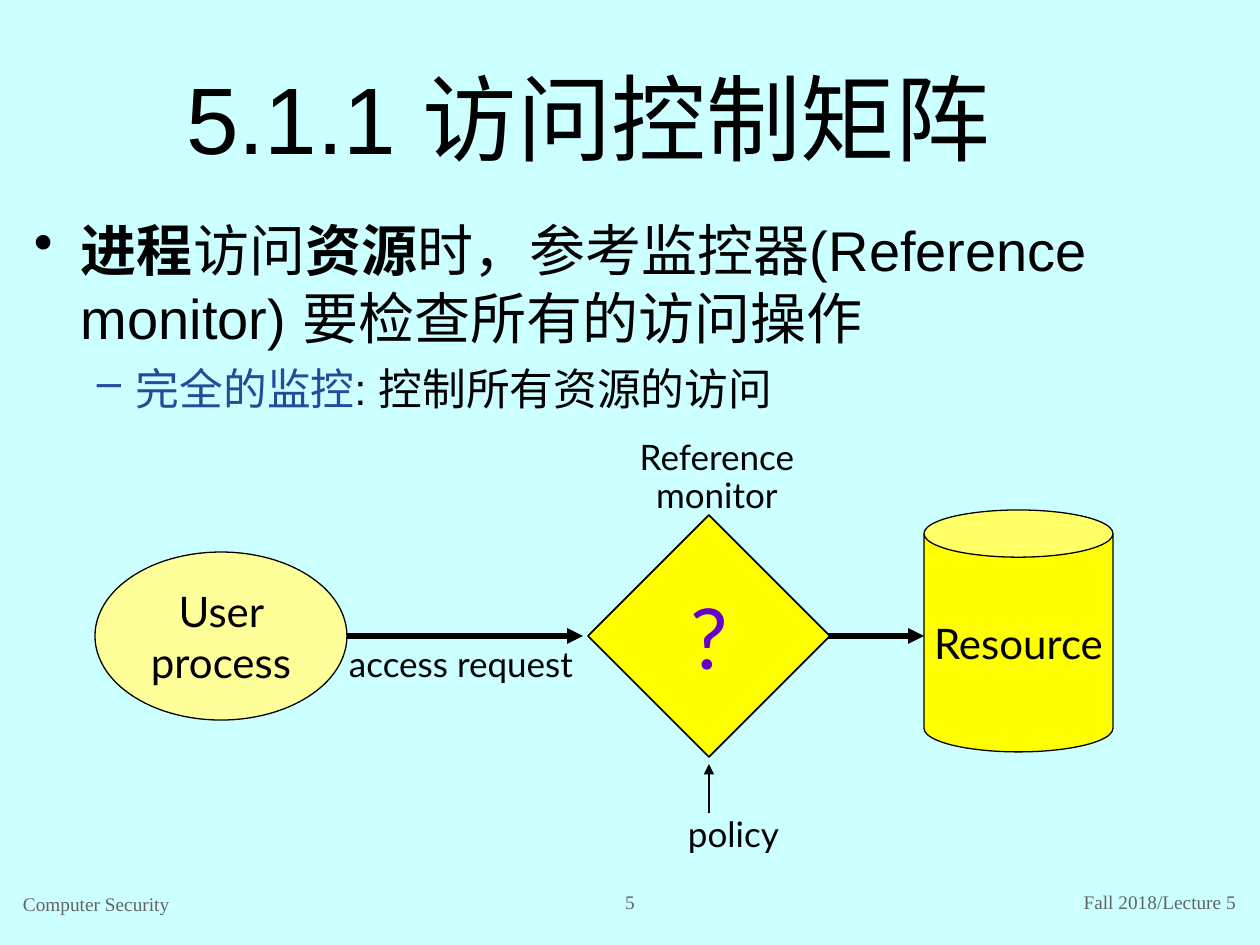
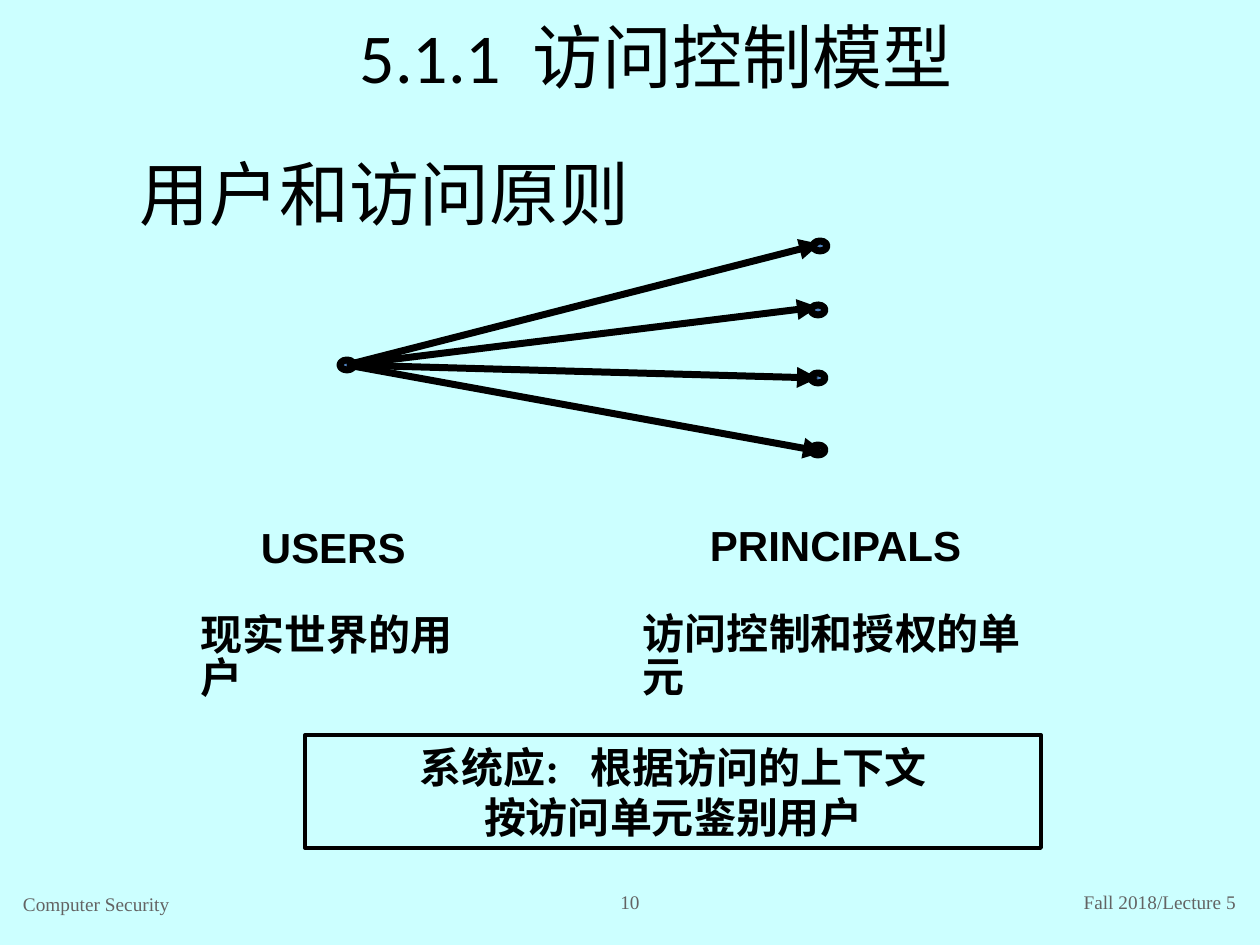
from lxml.etree import SubElement
from pptx import Presentation
from pptx.dml.color import RGBColor
from pptx.enum.shapes import MSO_CONNECTOR, MSO_SHAPE
from pptx.enum.text import MSO_ANCHOR, MSO_AUTO_SIZE, PP_ALIGN
from pptx.oxml.ns import qn
from pptx.util import Emu, Pt

PX_PER_INCH = 126
SLIDE_W, SLIDE_H = 1260, 945

BACKGROUND = RGBColor(0xCC, 0xFF, 0xFF)
BLACK = RGBColor(0x00, 0x00, 0x00)
GREY = RGBColor(0x63, 0x63, 0x63)
NAVY = RGBColor(0x25, 0x4C, 0x9C)
BLUE = RGBColor(0x4F, 0x81, 0xBD)
PURPLE = RGBColor(0x66, 0x00, 0xCC)
YELLOW = RGBColor(0xFF, 0xFF, 0x00)
PALE_YELLOW = RGBColor(0xFF, 0xFF, 0x99)

ARIAL, CALIBRI, LATO, TIMES = "Arial", "Calibri", "Lato", "Times New Roman"
LEFT, CENTER, RIGHT = PP_ALIGN.LEFT, PP_ALIGN.CENTER, PP_ALIGN.RIGHT
TOP, MIDDLE, BOTTOM = MSO_ANCHOR.TOP, MSO_ANCHOR.MIDDLE, MSO_ANCHOR.BOTTOM
INSET, TIGHT = (13, 6), (9, 4)


def px(n):
    return Emu(round(n * 914400 / PX_PER_INCH))


class Deck:
    """Holds the shared style and draws on the current slide."""

    def __init__(self):
        self.prs = Presentation()
        self.prs.slide_width, self.prs.slide_height = px(SLIDE_W), px(SLIDE_H)
        self.s = None

    def slide(self, number):
        self.s = self.prs.slides.add_slide(self.prs.slide_layouts[6])
        fill = self.s.background.fill
        fill.solid()
        fill.fore_color.rgb = BACKGROUND
        style = dict(size=11, font=TIMES, color=GREY)
        self.text((10, 882, 441, 39), "Computer Security", anchor=BOTTOM, **style)
        self.text((735, 882, 514, 39), "Fall 2018/Lecture 5", align=RIGHT, anchor=MIDDLE, **style)
        self.text((567, 882, 126, 39), str(number), align=CENTER, anchor=MIDDLE,
                  inset=(6, 6), **style)

    def frame(self, sp, anchor=TOP, inset=INSET, wrap=True):
        tf = sp.text_frame
        tf.word_wrap = wrap
        tf.vertical_anchor = anchor
        tf.margin_left = tf.margin_right = px(inset[0])
        tf.margin_top = tf.margin_bottom = px(inset[1])
        return tf

    def paragraphs(self, tf, text, size, font, color=BLACK, align=LEFT, bold=False,
                   before=0, spacing=1.0):
        """Fill the frame with one paragraph for each line of text."""
        for i, line in enumerate(text.split("\n")):
            p = tf.add_paragraph() if i else tf.paragraphs[0]
            p.add_run().text = line
            p.alignment = align
            p.space_before = Pt(before)
            p.line_spacing = spacing
            p.font.size, p.font.name, p.font.bold = Pt(size), font, bold
            p.font.color.rgb = color

    def text(self, box, text, anchor=TOP, inset=INSET, wrap=True, **style):
        sp = self.s.shapes.add_textbox(*map(px, box))
        tf = self.frame(sp, anchor, inset, wrap)
        if not wrap:
            tf.auto_size = MSO_AUTO_SIZE.SHAPE_TO_FIT_TEXT
        self.paragraphs(tf, text, **style)

    def bullets(self, box, items):
        """Each item is mark, mark colour, indent, hang, size, space before, runs."""
        tf = self.frame(self.s.shapes.add_textbox(*map(px, box)))
        for level, (mark, mark_color, indent, hang, size, before, runs) in enumerate(items):
            p = tf.add_paragraph() if level else tf.paragraphs[0]
            p.level = level
            p.space_before = Pt(before)
            p.font.size, p.font.name = Pt(size), ARIAL
            for text, color, bold in runs:
                r = p.add_run()
                r.text = text
                r.font.color.rgb, r.font.bold = color, bold
            pPr = p._p.get_or_add_pPr()
            pPr.set("marL", str(px(indent)))
            pPr.set("indent", str(-px(hang)))
            bu_clr = pPr.makeelement(qn("a:buClr"), {})
            SubElement(bu_clr, qn("a:srgbClr"), val=str(mark_color))
            bu_char = pPr.makeelement(qn("a:buChar"), {"char": mark})
            at = list(pPr).index(pPr.find(qn("a:defRPr")))
            pPr[at:at] = [bu_clr, bu_char]

    def shape(self, kind, box, fill=None, line=0.75, text="", wrap=True, **style):
        sp = self.s.shapes.add_shape(kind, *map(px, box))
        sp.shadow.inherit = False
        if fill is None:
            sp.fill.background()
        else:
            sp.fill.solid()
            sp.fill.fore_color.rgb = fill
        sp.line.color.rgb = BLACK
        sp.line.width = Pt(line)
        if text:
            self.paragraphs(self.frame(sp, MIDDLE, wrap=wrap), text, align=CENTER, **style)

    def dot(self, x, y):
        self.shape(MSO_SHAPE.OVAL, (x - 7, y - 5, 14, 10), BLUE, 4)

    def arrow(self, start, end, width):
        c = self.s.shapes.add_connector(MSO_CONNECTOR.STRAIGHT, *map(px, start + end))
        c.line.color.rgb = BLACK
        c.line.width = Pt(width)
        SubElement(c.line._get_or_add_ln(), qn("a:tailEnd"), type="triangle")
        SubElement(c._element.spPr, qn("a:effectLst"))


def access_matrix(deck):
    deck.slide(5)
    deck.text((21, 38, 1134, 158), "5.1.1 访问控制矩阵", size=54, font=ARIAL,
              align=CENTER, anchor=MIDDLE)
    deck.bullets((21, 210, 1229, 232), [
        ("•", BLACK, 47, 47, 32, 8, [
            ("进程", BLACK, True), ("访问", BLACK, False), ("资源", BLACK, True),
            ("时，参考监控器(Reference monitor) 要检查所有的访问操作", BLACK, False)]),
        ("–", NAVY, 102, 39, 25, 6.2, [
            ("完全的监控", NAVY, False), (": 控制所有资源的访问", BLACK, False)]),
    ])

    node = dict(size=24, font=LATO, before=6)
    label = dict(size=20, font=LATO)
    axis = 636
    deck.shape(MSO_SHAPE.CAN, (924, 510, 189, 242), YELLOW, text="Resource", wrap=False, **node)
    deck.shape(MSO_SHAPE.OVAL, (95, 552, 252, 168), PALE_YELLOW, text="User process", **node)
    deck.arrow((347, axis), (583, axis), 3)
    deck.arrow((798, axis), (924, axis), 3)
    deck.text((622, 441, 190, 81), "Reference\nmonitor", wrap=False, align=CENTER,
              before=5, spacing=0.7, **label)
    deck.text((336, axis, 312, 55), "access request", **label)
    deck.text((675, 806, 312, 55), "policy", **label)
    deck.shape(MSO_SHAPE.DIAMOND, (588, 515, 242, 242), YELLOW, 1, "?", wrap=False,
               size=48, font=LATO, color=PURPLE)
    deck.arrow((709, 813), (709, 764), 1.5)


def users_and_principals(deck):
    deck.slide(10)
    heading = dict(size=40, align=CENTER, inset=TIGHT)
    deck.text((199, 10, 914, 91), "5.1.1  访问控制模型", font=CALIBRI, **heading)
    deck.text((63, 147, 643, 91), "用户和访问原则", font=ARIAL, **heading)

    for box, text in [
        ((252, 524, 163, 50), "USERS"),
        ((701, 522, 272, 50), "PRINCIPALS"),
        ((192, 611, 311, 50), "现实世界的用户"),
        ((634, 610, 437, 50), "访问控制和授权的单元"),
    ]:
        deck.text(box, text, size=24, font=ARIAL, bold=True, spacing=0.87,
                  inset=TIGHT, wrap=False)

    user = (347, 365)
    principals = [(820, 246), (818, 310), (818, 378), (818, 450)]
    tips = [(820, 244), (818, 307), (818, 378), (824, 452)]
    for center in [user] + principals:
        deck.dot(*center)
    for tip in tips:
        deck.arrow(user, tip, 4)

    deck.shape(MSO_SHAPE.RECTANGLE, (305, 735, 736, 113), line=2.25,
               text="系统应:   根据访问的上下文\n按访问单元鉴别用户",
               size=24, font=TIMES, bold=True)


def main():
    deck = Deck()
    access_matrix(deck)
    users_and_principals(deck)
    deck.prs.save("out.pptx")


if __name__ == "__main__":
    main()
